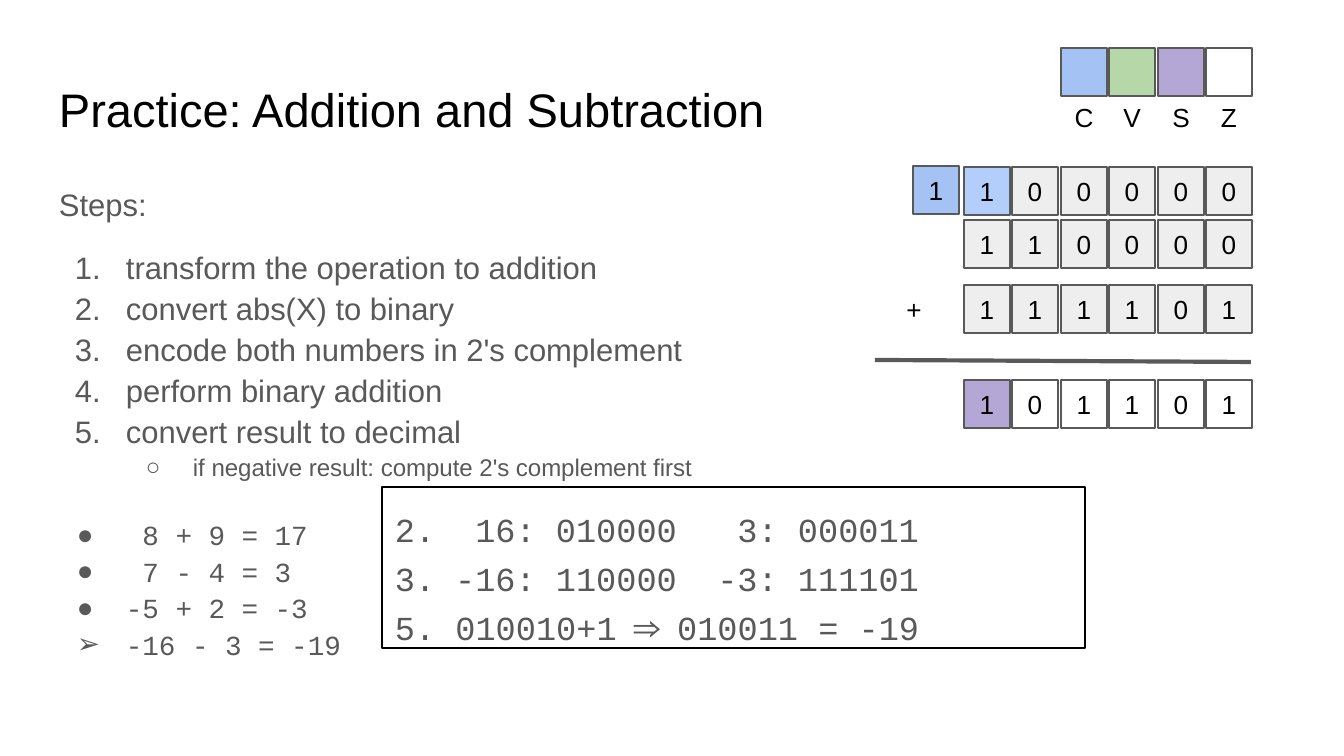
"""Build a slide that practises binary addition and subtraction."""
import pptx
import pptx.dml.color
import pptx.enum.shapes
import pptx.enum.text
import pptx.oxml.ns
import pptx.util
from lxml import etree

RGB = pptx.dml.color.RGBColor
BLACK = RGB(0x00, 0x00, 0x00)
WHITE = RGB(0xFF, 0xFF, 0xFF)
GRAY = RGB(0x59, 0x59, 0x59)
LIGHT_GRAY = RGB(0xEE, 0xEE, 0xEE)
BLUE = RGB(0xA4, 0xC2, 0xF4)
LIGHT_BLUE = RGB(0xB3, 0xCE, 0xFB)
GREEN = RGB(0xB6, 0xD7, 0xA8)
PURPLE = RGB(0xB4, 0xA7, 0xD6)

SANS, MONO = "Arial", "Courier New"
ALIGN = pptx.enum.text.PP_ALIGN
ANCHOR = pptx.enum.text.MSO_ANCHOR

TITLE = "Practice: Addition and Subtraction"
STEPS = [
    "transform the operation to addition",
    "convert abs(X) to binary",
    "encode both numbers in 2's complement",
    "perform binary addition",
    "convert result to decimal",
]
HINT = "if negative result: compute 2's complement first"
EXERCISES = [("●", " 8 + 9 = 17"), ("●", " 7 - 4 = 3"), ("●", "-5 + 2 = -3"), ("➢", "-16 - 3 = -19")]
SOLUTION = [
    "2.\t16: 010000\t3: 000011",
    "3.\t-16: 110000\t-3: 111101",
    "5. 010010+1 ⇒ 010011 = -19",
]
SOLUTION_TABS = [282, 524]
FLAGS = [("C", BLUE), ("V", GREEN), ("S", PURPLE), ("Z", WHITE)]
BIT_ROWS = [
    (167, "100000", LIGHT_GRAY, LIGHT_BLUE),
    (220, "110000", LIGHT_GRAY, LIGHT_GRAY),
    (285, "111101", LIGHT_GRAY, LIGHT_GRAY),
    (380, "101101", WHITE, PURPLE),
]
FLAG_TOP, LABEL_TOP = 48, 93
BITS_LEFT, BITS_SPAN, BIT_COUNT = 964, 242, 6
CELL_WIDTH, CELL_HEIGHT = 46, 48


def px(value):
    return round(value * 914400 / 134.4)


def column_left(index):
    return BITS_LEFT + round(index * BITS_SPAN / (BIT_COUNT - 1))


def set_frame(frame, inset=13, anchor=ANCHOR.TOP):
    frame.word_wrap = True
    frame.auto_size = pptx.enum.text.MSO_AUTO_SIZE.NONE
    frame.vertical_anchor = anchor
    frame.margin_left = frame.margin_right = px(inset)
    frame.margin_top = frame.margin_bottom = px(inset)


def write(paragraph, text, size=14, font=SANS, color=BLACK, align=ALIGN.LEFT, spacing=1.0, before=0):
    run = paragraph.add_run()
    run.text = text
    run.font.size = pptx.util.Pt(size)
    run.font.name = font
    run.font.color.rgb = color
    paragraph.alignment = align
    paragraph.line_spacing = spacing
    paragraph.space_before = pptx.util.Pt(before)


def add_bullet(paragraph, character=None, indent=67, hanging=51):
    properties = paragraph._p.get_or_add_pPr()
    properties.set("marL", str(px(indent)))
    properties.set("indent", str(-px(hanging)))
    qn = pptx.oxml.ns.qn
    color = etree.SubElement(properties, qn("a:buClr"))
    etree.SubElement(color, qn("a:srgbClr"), val=str(GRAY))
    etree.SubElement(properties, qn("a:buFont"), typeface=SANS)
    if character:
        etree.SubElement(properties, qn("a:buChar"), char=character)
    else:
        etree.SubElement(properties, qn("a:buAutoNum"), type="arabicPeriod")


def add_tabs(paragraph, positions):
    qn = pptx.oxml.ns.qn
    tabs = etree.SubElement(paragraph._p.get_or_add_pPr(), qn("a:tabLst"))
    for position in positions:
        etree.SubElement(tabs, qn("a:tab"), pos=str(px(position)), algn="r")


def add_box(slide, left, top, width, height, fill=None, line=None):
    kind = pptx.enum.shapes.MSO_SHAPE.RECTANGLE
    shape = slide.shapes.add_shape(kind, px(left), px(top), px(width), px(height))
    shape.shadow.inherit = False
    if fill is None:
        shape.fill.background()
    else:
        shape.fill.solid()
        shape.fill.fore_color.rgb = fill
    if line is None:
        shape.line.fill.background()
    else:
        shape.line.color.rgb = line
        shape.line.width = pptx.util.Pt(0.75)
    return shape


def add_cell(slide, left, top, text="", fill=None, line=GRAY):
    shape = add_box(slide, left, top, CELL_WIDTH, CELL_HEIGHT, fill, line)
    set_frame(shape.text_frame, inset=0, anchor=ANCHOR.MIDDLE)
    if text:
        write(shape.text_frame.paragraphs[0], text, align=ALIGN.CENTER)


def add_title(slide):
    title = slide.shapes.title
    title.left, title.top, title.width, title.height = px(46), px(66), px(1253), px(85)
    set_frame(title.text_frame, anchor=ANCHOR.MIDDLE)
    write(title.text_frame.paragraphs[0], TITLE, size=25.2)


def add_steps(slide):
    frame = slide.shapes.add_textbox(px(46), px(169), px(1253), px(503)).text_frame
    set_frame(frame)
    body = {"color": GRAY, "spacing": 1.1}
    write(frame.paragraphs[0], "Steps:", size=16.6, **body)
    for index, step in enumerate(STEPS):
        paragraph = frame.add_paragraph()
        write(paragraph, step, size=16.6, before=0 if index else 12, **body)
        add_bullet(paragraph)
    paragraph = frame.add_paragraph()
    paragraph.level = 1
    write(paragraph, HINT, size=12.9, **body)
    add_bullet(paragraph, "○", indent=134, hanging=47)
    for index, (character, exercise) in enumerate(EXERCISES):
        paragraph = frame.add_paragraph()
        write(paragraph, exercise, size=14.8, font=MONO, before=0 if index else 18, **body)
        add_bullet(paragraph, character, hanging=49)


def add_solution(slide):
    frame = add_box(slide, 382, 487, 703, 161, line=BLACK).text_frame
    set_frame(frame)
    for index, line in enumerate(SOLUTION):
        paragraph = frame.add_paragraph() if index else frame.paragraphs[0]
        write(paragraph, line, size=18, font=MONO, color=GRAY, spacing=1.22)
        add_tabs(paragraph, SOLUTION_TABS)


def add_calculation(slide):
    first_flag = BIT_COUNT - len(FLAGS)
    for index, (name, color) in enumerate(FLAGS, first_flag):
        add_cell(slide, column_left(index), FLAG_TOP, fill=color)
        add_cell(slide, column_left(index), LABEL_TOP, name, line=None)
    for top, bits, fill, first_fill in BIT_ROWS:
        for index, bit in enumerate(bits):
            add_cell(slide, column_left(index), top, bit, fill if index else first_fill)
    add_cell(slide, 913, 166, "1", BLUE)
    add_cell(slide, 891, 285, "+", WHITE, line=None)
    straight = pptx.enum.shapes.MSO_CONNECTOR.STRAIGHT
    rule = slide.shapes.add_connector(straight, px(875), px(360), px(1251), px(362))
    rule.line.color.rgb = GRAY
    rule.line.width = pptx.util.Pt(2.25)
    etree.SubElement(rule._element.spPr, pptx.oxml.ns.qn("a:effectLst"))


def main():
    presentation = pptx.Presentation()
    presentation.slide_width, presentation.slide_height = px(1344), px(756)
    slide = presentation.slides.add_slide(presentation.slide_layouts[5])
    add_title(slide)
    add_steps(slide)
    add_calculation(slide)
    add_solution(slide)
    presentation.save("out.pptx")


if __name__ == "__main__":
    main()
